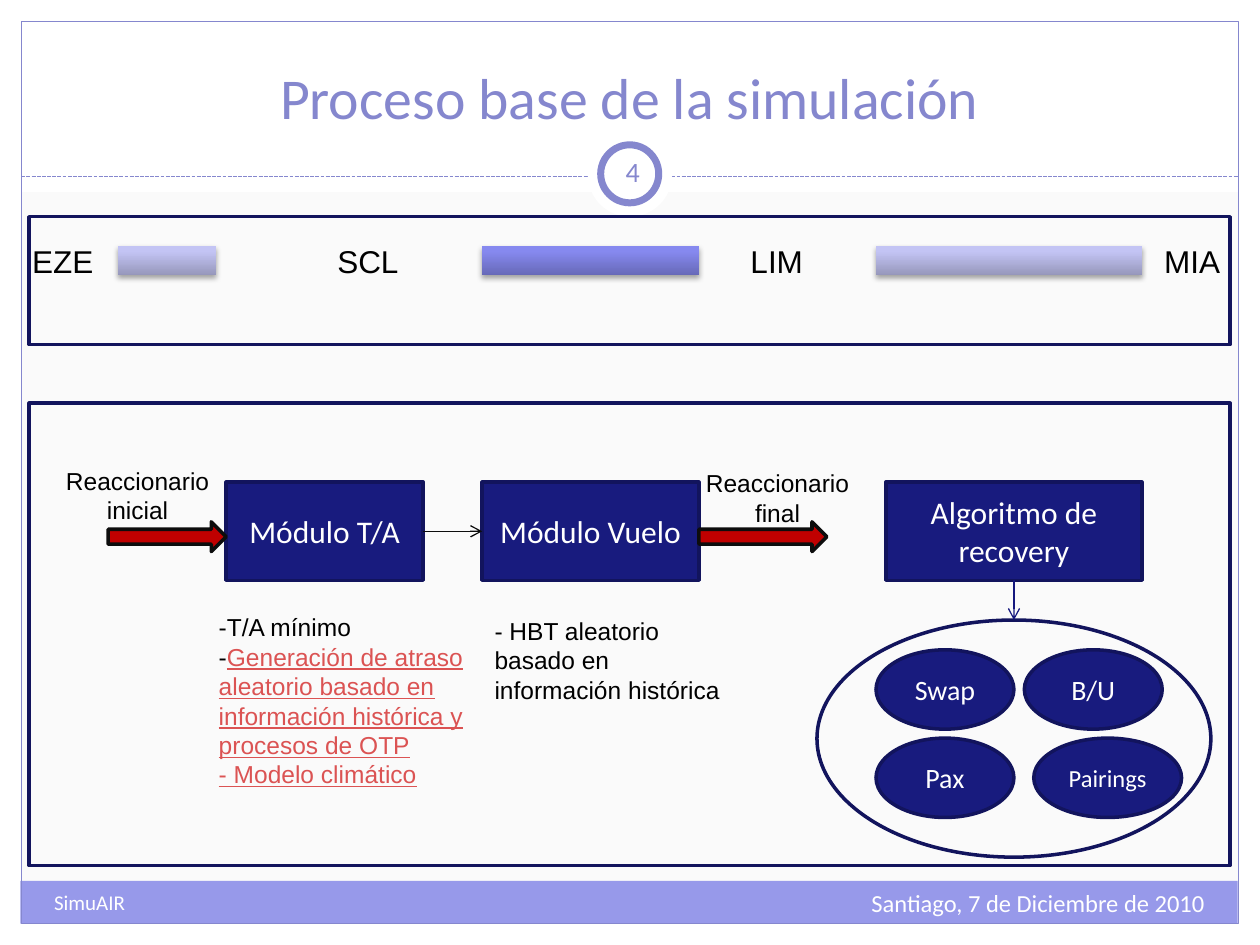
from lxml.etree import SubElement as Sub
from pptx import Presentation
from pptx.dml.color import RGBColor
from pptx.enum.dml import MSO_LINE
from pptx.enum.shapes import MSO_CONNECTOR as Conn, MSO_SHAPE as Kind
from pptx.enum.text import MSO_ANCHOR as Anchor, PP_ALIGN as Align
from pptx.oxml.ns import qn
from pptx.util import Cm, Pt

NAVY, EDGE, LILAC = "181B7E", "12145D", "8587CE"
WHITE, BLACK, INK, RED = "FFFFFF", "000000", "0D0D0D", "DB5353"
BOX, OVAL = Kind.RECTANGLE, Kind.OVAL


def color(fmt, code):
    fmt.rgb = RGBColor.from_string(code)


def style(para, size, face, code, align=Align.LEFT):
    para.alignment = align
    for run in para.runs:
        run.font.size = Pt(size)
        run.font.name = face
        color(run.font.color, code)


def shape(slide, kind, at, fill=None, line=None, width=2):
    item = slide.shapes.add_shape(kind, *map(Cm, at))
    item.shadow.inherit = False
    if fill:
        item.fill.solid()
        color(item.fill.fore_color, fill)
    else:
        item.fill.background()
    if line:
        color(item.line.color, line)
        item.line.width = Pt(width)
    else:
        item.line.fill.background()
    return item


def node(slide, kind, at, text, size):
    """Navy shape with a centred white label."""
    item = shape(slide, kind, at, NAVY, EDGE)
    item.text_frame.text = text
    item.text_frame.vertical_anchor = Anchor.MIDDLE
    style(item.text_frame.paragraphs[0], size, "Calibri", WHITE, Align.CENTER)
    return item


def label(slide, at, text, size, face="Arial", code=BLACK, align=Align.LEFT):
    frame = slide.shapes.add_textbox(*map(Cm, at)).text_frame
    frame.word_wrap = True
    frame.text = text
    for para in frame.paragraphs:
        style(para, size, face, code, align)
    return frame


def bar(slide, left, width, dark, light):
    """Flight bar with a vertical gradient and a soft shadow."""
    item = shape(slide, BOX, (left, 4.95, width, 0.6))
    item.fill.gradient()
    item.fill.gradient_angle = 90
    for stop, spot, code in zip(item.fill.gradient_stops, (0, 0.8), (dark, light)):
        stop.position = spot
        color(stop.color, code)
    glow = Sub(item._element.spPr.find(qn("a:effectLst")), qn("a:outerShdw"),
               blurRad=str(Pt(3.1)), dist=str(Pt(1.8)), dir="5400000",
               algn="ctr", rotWithShape="0")
    black = Sub(glow, qn("a:srgbClr"), val=BLACK)
    Sub(black, qn("a:alpha"), val="35000")


def rule(slide, ends, code):
    item = slide.shapes.add_connector(Conn.STRAIGHT, *map(Cm, ends))
    color(item.line.color, code)
    item.line.width = Pt(0.75)
    Sub(item._element.spPr, qn("a:effectLst"))
    return item


def link(slide, start, out, end, into, code):
    """Thin arrow joining two shapes at the given sides."""
    item = rule(slide, (0, 0, 0, 0), code)
    item.begin_connect(start, out)
    item.end_connect(end, into)
    Sub(item.line._get_or_add_ln(), qn("a:tailEnd"), type="arrow")


def page(slide):
    # White margins, footer band and outer frame
    for at in ((0, 18.62, 25.4, 0.43), (0, 0, 25.4, 3.87),
               (0, 0, 0.43, 19.05), (24.97, 0, 0.43, 19.05)):
        shape(slide, BOX, at, WHITE)
    shape(slide, BOX, (0.41, 17.76, 24.54, 0.86), "9799EA")
    shape(slide, BOX, (0.43, 0.43, 24.54, 18.19), None, LILAC, 0.75)

    # Dashed rule and number badge
    rule(slide, (0.43, 3.56, 24.97, 3.56), LILAC).line.dash_style = MSO_LINE.SQUARE_DOT
    shape(slide, OVAL, (11.85, 2.67, 1.7, 1.7), WHITE)
    shape(slide, OVAL, (12.11, 2.92, 1.17, 1.17), WHITE, LILAC, 4)
    badge = label(slide, (12.12, 2.85, 1.27, 1.22), "4", 16, "Calibri", LILAC, Align.CENTER)
    badge.vertical_anchor = Anchor.MIDDLE
    badge.margin_left = badge.margin_right = Cm(0.13)
    badge.margin_top = badge.margin_bottom = Cm(0.13)

    # Title, brought in front of the white margin
    title = slide.shapes.title
    slide.shapes._spTree.append(title._element)
    title.left, title.top, title.width, title.height = map(Cm, (0.84, 0.64, 23.7, 2.12))
    title.text_frame.text = "Proceso base de la simulación"
    title.text_frame.vertical_anchor = Anchor.BOTTOM
    style(title.text_frame.paragraphs[0], 33, "Calibri", LILAC, Align.CENTER)

    # Footer texts
    label(slide, (16.08, 17.78, 8.46, 1.02), "Santiago, 7 de Diciembre de 2010",
          14, "Calibri", WHITE, Align.RIGHT)
    label(slide, (0.84, 17.8, 9.96, 1.02), "SimuAIR", 12, "Calibri", WHITE)


def route(slide):
    shape(slide, BOX, (0.59, 4.37, 24.21, 2.58), None, EDGE)
    pale = ("9697BB", "C3C4F4")
    bar(slide, 2.38, 1.98, *pale)
    bar(slide, 9.72, 4.37, "6769B8", "8689EF")
    bar(slide, 17.66, 5.36, *pale)
    for left, text in ((0.4, "EZE"), (6.55, "SCL"), (14.88, "LIM"), (23.22, "MIA")):
        label(slide, (left, 4.75, 3.57, 1.02), text, 18)


def flow(slide):
    shape(slide, BOX, (0.59, 8.13, 24.21, 9.32), None, EDGE)

    # Modules
    turn, flight, algo = [
        node(slide, BOX, (left, 9.72, width, 1.98), text, 18)
        for left, width, text in ((4.56, 3.97, "Módulo T/A"),
                                  (9.72, 4.37, "Módulo Vuelo"),
                                  (17.86, 5.16, "Algoritmo de recovery"))]

    # Delays coming in and going out
    for left, width, edge, top, text in (
            (2.18, 2.38, 0.99, 9.27, "Reaccionario inicial"),
            (14.09, 2.58, 13.89, 9.32, "Reaccionario final")):
        shape(slide, Kind.RIGHT_ARROW, (left, 10.52, width, 0.6), "C00000", INK)
        label(slide, (edge, top, 3.57, 1.45), text, 14, align=Align.CENTER)

    # Recovery options
    group = shape(slide, OVAL, (16.47, 12.5, 7.94, 4.78), None, EDGE)
    for left, top, width, text, size in ((17.66, 13.1, 2.78, "Swap", 16),
                                         (20.65, 13.1, 2.78, "B/U", 16),
                                         (17.66, 14.88, 2.78, "Pax", 16),
                                         (20.84, 14.88, 2.98, "Pairings", 14)):
        node(slide, OVAL, (left, top, width, 1.6), text, size)

    link(slide, turn, 3, flight, 1, INK)
    link(slide, algo, 2, group, 0, "15187E")


def notes(slide):
    label(slide, (9.72, 12.29, 5.36, 2.06),
          "- HBT aleatorio basado en información histórica", 14)
    frame = label(slide, (4.16, 12.22, 6.93, 3.84),
                  "-T/A mínimo\n-\n- Modelo climático", 14)
    cause, model = frame.paragraphs[1:]
    run = cause.add_run()
    run.text = ("Generación de atraso aleatorio basado en "
                "información histórica y procesos de OTP")
    run.font.size, run.font.name = Pt(14), "Arial"
    for hot in (run, model.runs[0]):
        color(hot.font.color, RED)
        hot.font.underline = True


def main():
    deck = Presentation()
    deck.slide_width, deck.slide_height = Cm(25.4), Cm(19.05)
    slide = deck.slides.add_slide(deck.slide_layouts[5])
    slide.background.fill.solid()
    color(slide.background.fill.fore_color, "FAFAFA")
    page(slide)
    route(slide)
    flow(slide)
    notes(slide)
    deck.save("out.pptx")


if __name__ == "__main__":
    main()
